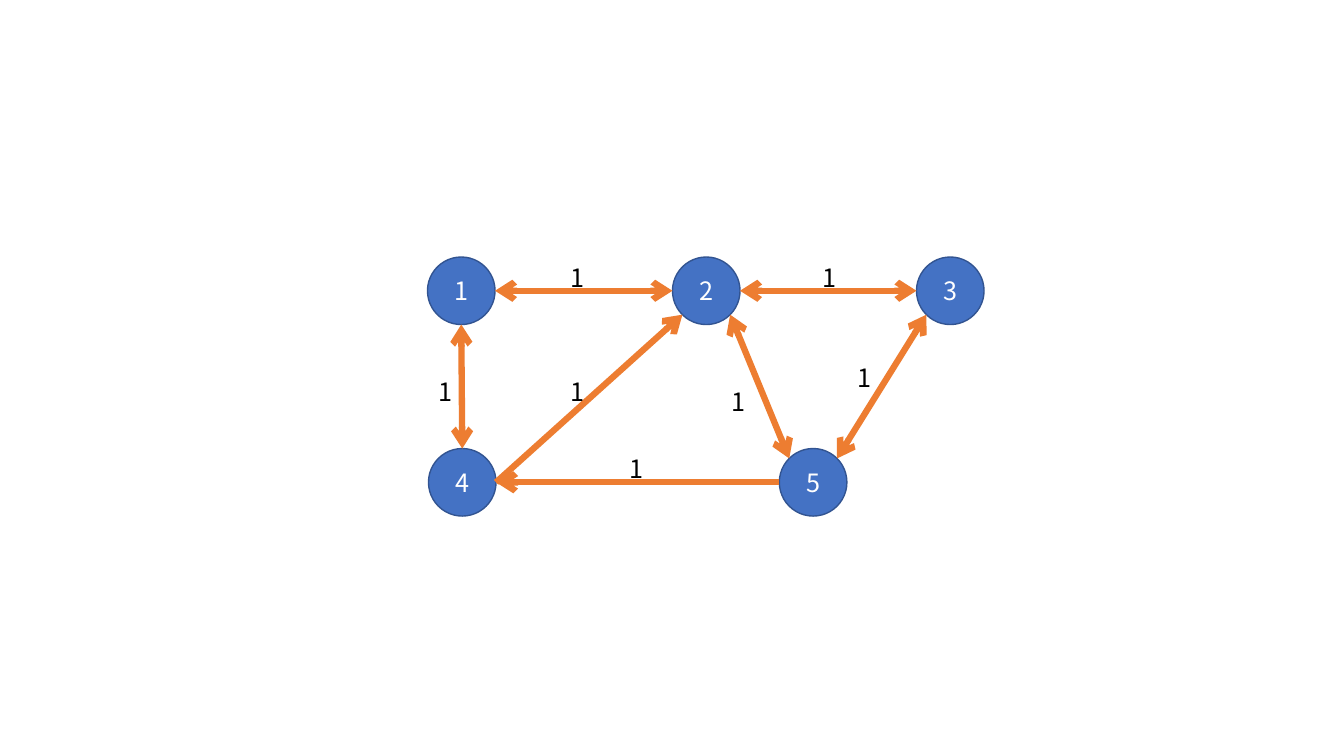
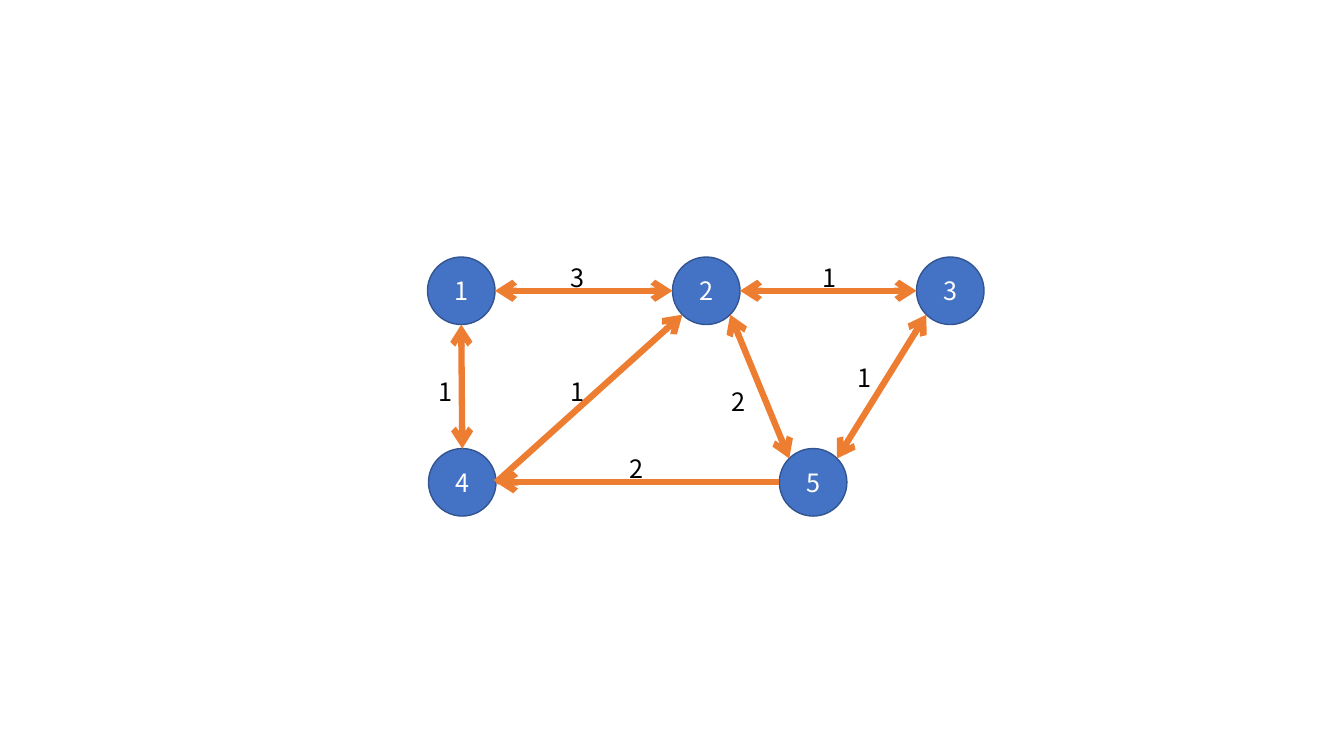
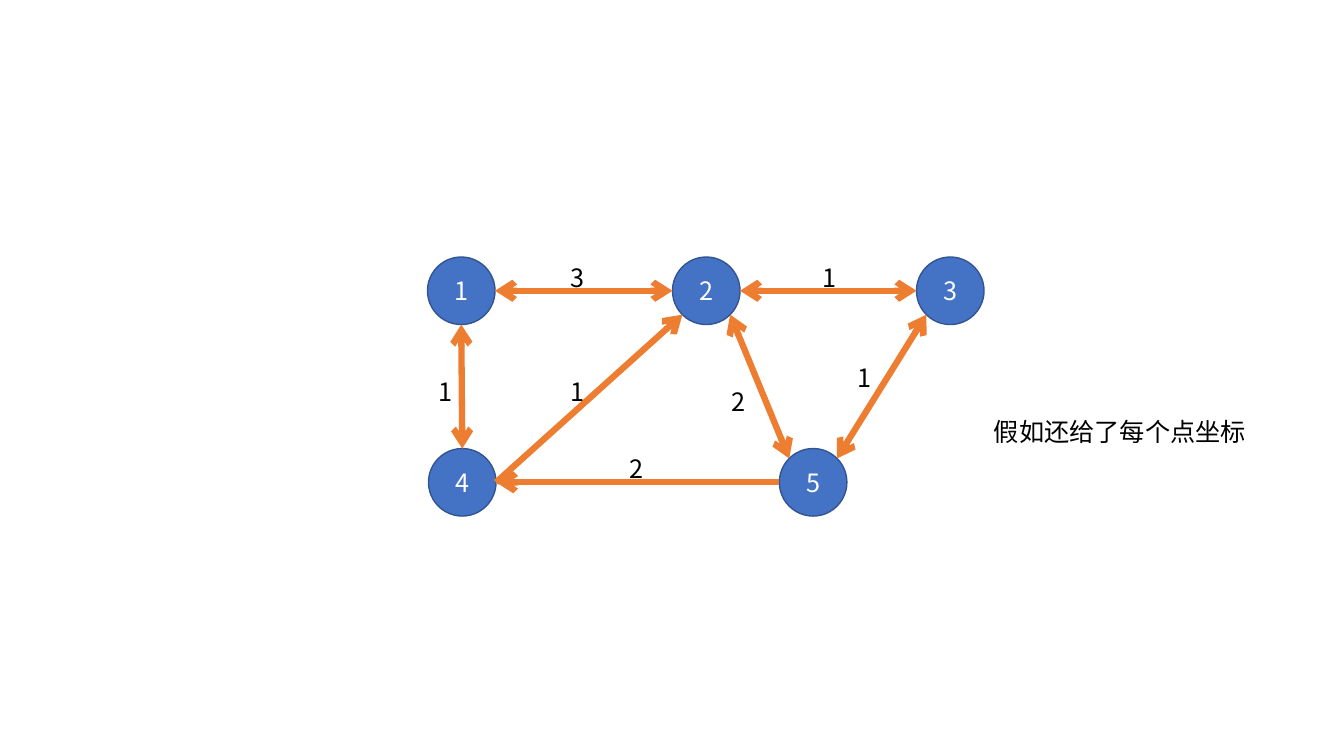
from dataclasses import dataclass
from enum import IntEnum
from math import cos, pi, sin

from lxml.etree import SubElement
from pptx import Presentation
from pptx.dml.color import RGBColor
from pptx.enum.shapes import MSO_CONNECTOR, MSO_SHAPE
from pptx.enum.text import MSO_ANCHOR, MSO_AUTO_SIZE, PP_ALIGN
from pptx.oxml.ns import qn
from pptx.shapes.autoshape import Shape
from pptx.slide import Slide
from pptx.text.text import _Paragraph as Paragraph
from pptx.util import Inches, Pt

COLORS = {
    "node": "4472C4",
    "outline": "325491",
    "edge": "ED7D31",
    "node_text": "FFFFFF",
    "text": "000000",
}
FONT = "Noto Sans CJK SC"
DIAMETER = 0.67
LABEL_WIDTH, TEXT_HEIGHT = 0.34, 0.4
BLANK_LAYOUT = 6


class Site(IntEnum):
    """Connection sites of an ellipse, counterclockwise from the top."""
    TOP = 0
    TOP_LEFT = 1
    LEFT = 2
    BOTTOM_LEFT = 3
    BOTTOM = 4
    BOTTOM_RIGHT = 5
    RIGHT = 6
    TOP_RIGHT = 7


@dataclass(frozen=True)
class Node:
    name: str
    left: float
    top: float

    def site(self, site: Site) -> tuple[float, float]:
        angle = pi / 2 + site * pi / 4
        radius = DIAMETER / 2
        return (self.left + radius * (1 + cos(angle)),
                self.top + radius * (1 - sin(angle)))


@dataclass(frozen=True)
class Edge:
    start: str
    start_site: Site
    end: str
    end_site: Site
    label_left: float
    label_top: float
    two_way: bool = True


UPPER, LOWER = 2.55, 4.45
NODES = {node.name: node for node in (
    Node("1", 4.24, UPPER),
    Node("2", 6.67, UPPER),
    Node("3", 9.09, UPPER),
    Node("4", 4.25, LOWER),
    Node("5", 7.73, LOWER),
)}
EDGES = (
    Edge("1", Site.RIGHT, "2", Site.LEFT, 5.56, UPPER),
    Edge("2", Site.RIGHT, "3", Site.LEFT, 8.06, UPPER),
    Edge("1", Site.BOTTOM, "4", Site.TOP, 4.25, 3.68),
    Edge("4", Site.RIGHT, "2", Site.BOTTOM_LEFT, 5.56, 3.68, two_way=False),
    Edge("5", Site.LEFT, "4", Site.RIGHT, 6.15, LOWER, two_way=False),
    Edge("2", Site.BOTTOM_RIGHT, "5", Site.TOP_LEFT, 7.16, 3.78),
    Edge("3", Site.BOTTOM_LEFT, "5", Site.TOP_RIGHT, 8.41, 3.55),
)
EQUAL_WEIGHTS = (1, 1, 1, 1, 1, 1, 1)
MIXED_WEIGHTS = (3, 1, 1, 1, 2, 2, 1)


def rgb(name: str) -> RGBColor:
    return RGBColor.from_string(COLORS[name])


def format_text(para: Paragraph, color: str) -> None:
    para.font.size = Pt(18)
    para.font.name = FONT
    para.font.color.rgb = rgb(color)
    properties = para._p.pPr.find(qn("a:defRPr"))
    SubElement(properties, qn("a:ea"), typeface=FONT)


def add_text(page: Slide, text: str, left: float, top: float,
             width: float, wrap: bool) -> None:
    box = page.shapes.add_textbox(
        Inches(left), Inches(top), Inches(width), Inches(TEXT_HEIGHT))
    frame = box.text_frame
    frame.word_wrap = wrap
    frame.auto_size = MSO_AUTO_SIZE.SHAPE_TO_FIT_TEXT
    frame.text = text
    format_text(frame.paragraphs[0], "text")


def add_node(page: Slide, node: Node) -> Shape:
    circle = page.shapes.add_shape(
        MSO_SHAPE.OVAL, Inches(node.left), Inches(node.top),
        Inches(DIAMETER), Inches(DIAMETER))
    circle.shadow.inherit = False
    circle.fill.solid()
    circle.fill.fore_color.rgb = rgb("node")
    circle.line.color.rgb = rgb("outline")
    circle.line.width = Pt(1)
    frame = circle.text_frame
    frame.vertical_anchor = MSO_ANCHOR.MIDDLE
    frame.text = node.name
    para = frame.paragraphs[0]
    para.alignment = PP_ALIGN.CENTER
    format_text(para, "node_text")
    return circle


def add_edge(page: Slide, edge: Edge, circles: dict[str, Shape]) -> None:
    """Draw an arrow glued to the ellipse sites of its two nodes."""
    start = NODES[edge.start].site(edge.start_site)
    end = NODES[edge.end].site(edge.end_site)
    arrow = page.shapes.add_connector(
        MSO_CONNECTOR.STRAIGHT, *(Inches(value) for value in start + end))
    arrow.line.color.rgb = rgb("edge")
    arrow.line.width = Pt(4.5)

    joints = arrow._element.find(".//" + qn("p:cNvCxnSpPr"))
    for tag, name, site in (("a:stCxn", edge.start, edge.start_site),
                            ("a:endCxn", edge.end, edge.end_site)):
        SubElement(joints, qn(tag), id=str(circles[name].shape_id),
                   idx=str(int(site)))

    properties = arrow._element.spPr
    outline = properties.find(qn("a:ln"))
    if edge.two_way:
        SubElement(outline, qn("a:headEnd"), type="arrow")
    SubElement(outline, qn("a:tailEnd"), type="arrow")
    SubElement(properties, qn("a:effectLst"))


def add_graph(page: Slide, weights: tuple[int, ...]) -> None:
    circles = {name: add_node(page, node) for name, node in NODES.items()}
    for edge in EDGES:
        add_edge(page, edge, circles)
    for edge, weight in zip(EDGES, weights):
        add_text(page, str(weight), edge.label_left, edge.label_top,
                 LABEL_WIDTH, wrap=False)


def main() -> None:
    deck = Presentation()
    deck.slide_width, deck.slide_height = Inches(13.33), Inches(7.5)
    for weights in (EQUAL_WEIGHTS, MIXED_WEIGHTS, MIXED_WEIGHTS):
        page = deck.slides.add_slide(deck.slide_layouts[BLANK_LAYOUT])
        add_graph(page, weights)
    add_text(page, "假如还给了每个点坐标", 9.76, 4.08, 2.79, wrap=True)
    deck.save("out.pptx")


if __name__ == "__main__":
    main()
